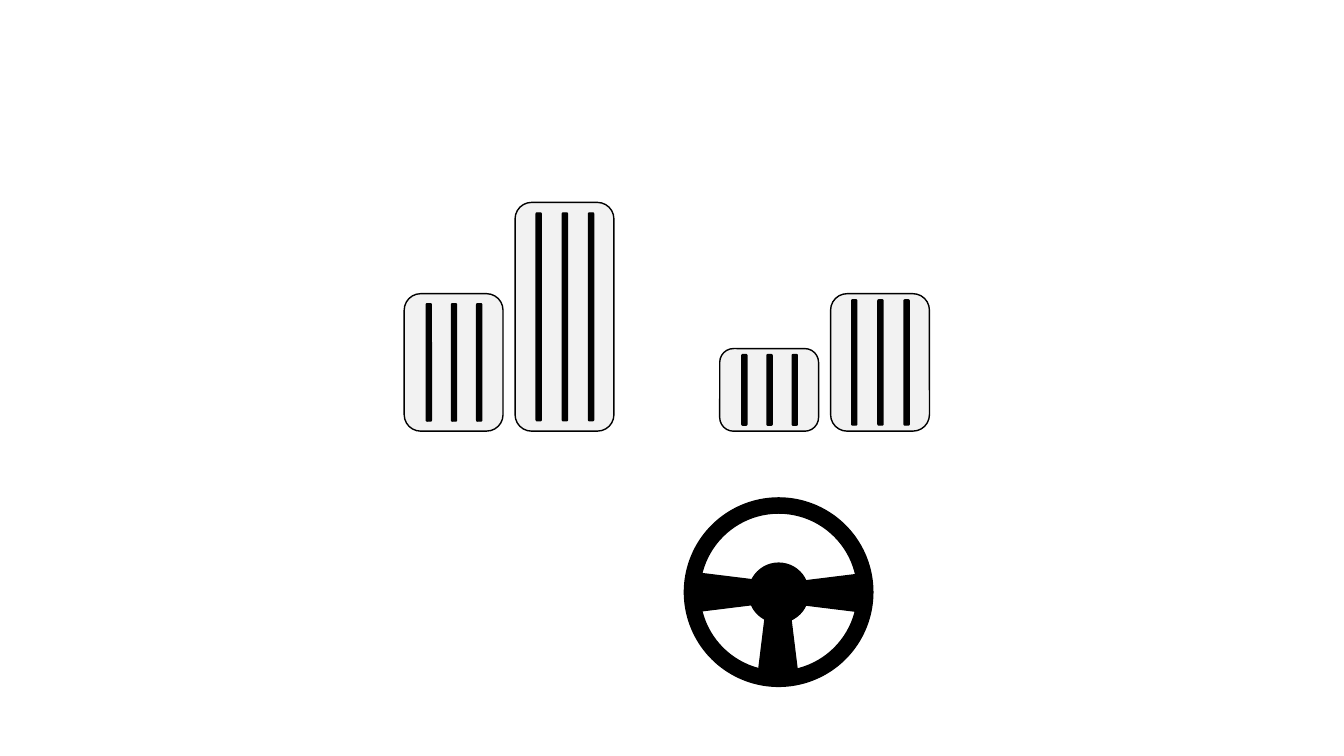
"""Draw two pairs of foot pedals and a steering wheel."""
from pptx import Presentation
from pptx.dml.color import RGBColor
from pptx.enum import shapes
from pptx.util import Pt

HUES = {"ink": "000000", "pad": "F2F2F2", "gap": "FFFFFF"}
KIND = shapes.MSO_SHAPE
WIDE = 70.6
FLOOR = 308


def put(group, kind, mid, size, hue, turn=0):
    """Add an outlined shape centred on a point."""
    (x, y), (w, h) = mid, size
    item = group.shapes.add_shape(kind, Pt(x - w / 2), Pt(y - h / 2), Pt(w), Pt(h))
    item.shadow.inherit = False
    item.rotation = turn
    item.fill.solid()
    item.fill.fore_color.rgb = RGBColor.from_string(HUES[hue])
    item.line.color.rgb = RGBColor.from_string(HUES["ink"])
    item.line.width = Pt(1)


def pedal(group, left, high, inset, step):
    """Add a pedal standing on the floor line, with three grip bars."""
    x, y = left + WIDE / 2, FLOOR - high / 2
    put(group, KIND.ROUNDED_RECTANGLE, (x, y), (WIDE, high), "pad")
    for i in (-1, 0, 1):
        put(group, KIND.ROUNDED_RECTANGLE, (x + 0.3 + i * step, y),
            (3.6, high - 2 * inset), "ink")


def disc(group, mid, size, hue):
    """Add a circle of the given diameter."""
    put(group, KIND.OVAL, mid, (size, size), hue)


def wheel(group, x, y):
    """Add a rim, three spokes and a hub."""
    disc(group, (x, y), 134.6, "ink")
    disc(group, (x, y), 113, "gap")
    for dx, dy, turn in ((-0.5, 29.5, 0), (-32.4, 0, 90), (34.6, 0.5, 270)):
        put(group, KIND.TRAPEZOID, (x + dx, y + dy), (28.1, 56.9), "ink", turn)
    disc(group, (x, y + 0.5), 42.5, "ink")


def main():
    """Build and save the slide."""
    deck = Presentation()
    deck.slide_width, deck.slide_height = Pt(960), Pt(540)
    slide = deck.slides.add_slide(deck.slide_layouts[6])
    large = slide.shapes.add_group_shape()
    pedal(large, 367.9, 163.4, 7.5, 18.7)
    pedal(large, 288.7, 98.2, 7.2, 18)
    small = slide.shapes.add_group_shape()
    pedal(small, 593.3, 98.2, 4.4, 18.7)
    pedal(small, 514.1, 59, 4.3, 18)
    wheel(slide.shapes.add_group_shape(), 556.2, 423)
    deck.save("out.pptx")


if __name__ == "__main__":
    main()
